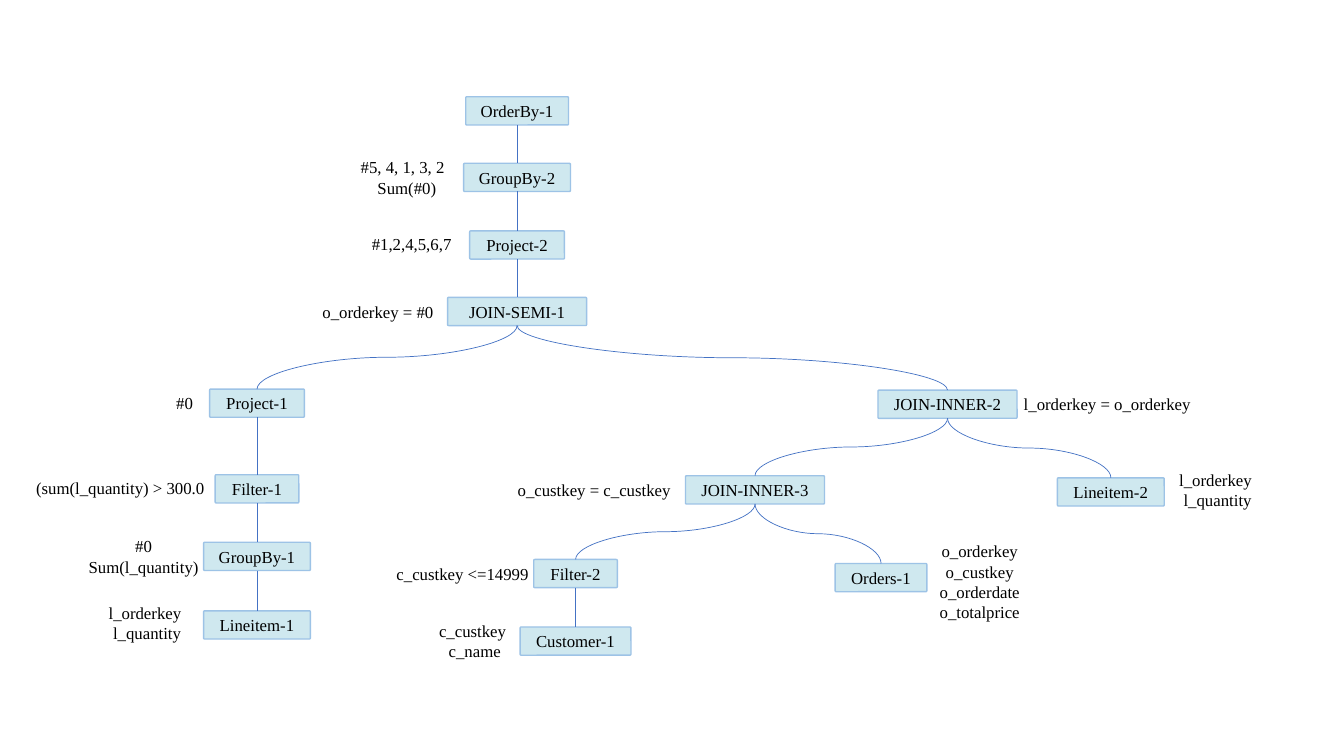
from dataclasses import dataclass
from pptx import Presentation
from pptx.dml.color import RGBColor
from pptx.enum.shapes import MSO_CONNECTOR, MSO_SHAPE
from pptx.enum.text import MSO_ANCHOR, MSO_AUTO_SIZE, PP_ALIGN
from pptx.oxml.ns import qn
from pptx.util import Inches, Pt
from lxml import etree

LEFT, MID = PP_ALIGN.LEFT, PP_ALIGN.CENTER
MIDDLE = MSO_ANCHOR.MIDDLE
GROW = MSO_AUTO_SIZE.SHAPE_TO_FIT_TEXT
ROUND = MSO_SHAPE.ROUNDED_RECTANGLE
LINE, CURVE = MSO_CONNECTOR.STRAIGHT, MSO_CONNECTOR.CURVE
TOP, BOTTOM = 0, 2


@dataclass(frozen=True)
class Theme:
    font: str = "Times New Roman"
    size: int = 12
    ink: str = "000000"
    fill: str = "CFE8EF"
    rim: str = "9DC3E6"
    edge: str = "4472C4"
    rim_size: float = 1
    edge_size: float = 0.5


THEME = Theme()
UNIT = 0.1  # inches per grid column and row
COLS, ROWS = 133.33, 75
NODE_H = 2.8

# name: centre column, top row, width
NODES = {
    "OrderBy-1": (51.3, 9.6, 10.2),
    "GroupBy-2": (51.3, 16.2, 10.6),
    "Project-2": (51.3, 22.9, 9.4),
    "JOIN-SEMI-1": (51.3, 29.5, 13.8),
    "Project-1": (25.5, 38.6, 9.4),
    "Filter-1": (25.5, 47.1, 8.3),
    "GroupBy-1": (25.5, 53.8, 10.6),
    "Lineitem-1": (25.5, 60.6, 10.6),
    "JOIN-INNER-2": (94, 38.7, 13.8),
    "JOIN-INNER-3": (74.9, 47.2, 13.8),
    "Lineitem-2": (110.2, 47.4, 10.6),
    "Filter-2": (57.1, 55.5, 8.3),
    "Orders-1": (87.4, 55.9, 9.1),
    "Customer-1": (57.1, 62.2, 11),
}

CHAINS = [
    ["OrderBy-1", "GroupBy-2", "Project-2", "JOIN-SEMI-1"],
    ["Project-1", "Filter-1", "GroupBy-1", "Lineitem-1"],
    ["Filter-2", "Customer-1"],
]

FORKS = {
    "JOIN-SEMI-1": ["Project-1", "JOIN-INNER-2"],
    "JOIN-INNER-2": ["JOIN-INNER-3", "Lineitem-2"],
    "JOIN-INNER-3": ["Filter-2", "Orders-1"],
}

# left column, top row, width, alignment, lines
NOTES = [
    (35.9, 22.7, 11.3, LEFT, ["#1,2,4,5,6,7"]),
    (30.4, 29.4, 14.2, MID, ["o_orderkey = #0"]),
    (16.5, 38.5, 5.1, LEFT, ["#0"]),
    (2.6, 46.9, 20.4, LEFT, ["(sum(l_quantity) > 300.0"]),
    (7.5, 52.7, 13.5, MID, ["#0", "Sum(l_quantity)"]),
    (9.1, 59.3, 11, MID, ["l_orderkey ", "l_quantity"]),
    (99.8, 38.6, 20.1, MID, ["l_orderkey = o_orderkey"]),
    (48.9, 47.1, 20.1, MID, ["o_custkey = c_custkey"]),
    (115.3, 46.1, 11, MID, ["l_orderkey ", "l_quantity"]),
    (38.1, 55.4, 15.6, MID, ["c_custkey <=14999"]),
    (91.7, 53.2, 11, MID,
     ["o_orderkey", "o_custkey", "o_orderdate", "o_totalprice"]),
    (41.6, 61.1, 11, MID, ["c_custkey ", "c_name"]),
]
SUM_NOTE = (34.3, 15.1, 11.3, MID, ["#5, 4, 1, 3, 2", "Sum(#0)"])
SUM_SHIFT = 0.83


def grid(count):
    return Inches(count * UNIT)


def color(code):
    return RGBColor.from_string(code)


def write(frame, lines, align):
    frame.word_wrap = True
    for i, line in enumerate(lines):
        para = frame.add_paragraph() if i else frame.paragraphs[0]
        para.alignment = align
        run = para.add_run()
        run.text = line
        run.font.name = THEME.font
        run.font.size = Pt(THEME.size)
        run.font.color.rgb = color(THEME.ink)


def add_node(slide, name, mid, top, width):
    node = slide.shapes.add_shape(
        ROUND, grid(mid - width / 2), grid(top), grid(width), grid(NODE_H))
    node.adjustments[0] = 0.04
    node.shadow.inherit = False
    node.fill.solid()
    node.fill.fore_color.rgb = color(THEME.fill)
    node.line.color.rgb = color(THEME.rim)
    node.line.width = Pt(THEME.rim_size)
    node.text_frame.vertical_anchor = MIDDLE
    write(node.text_frame, [name], MID)
    return node


def add_note(slide, left, top, width, align, lines):
    note = slide.shapes.add_textbox(
        grid(left), grid(top), grid(width), grid(1 + 2 * len(lines)))
    write(note.text_frame, lines, align)
    note.text_frame.auto_size = GROW
    return note


def add_edge(slide, kind, upper, lower):
    edge = slide.shapes.add_connector(kind, 0, 0, 0, 0)
    edge.begin_connect(upper, BOTTOM)
    edge.end_connect(lower, TOP)
    edge.line.color.rgb = color(THEME.edge)
    edge.line.width = Pt(THEME.edge_size)
    etree.SubElement(edge.element.spPr, qn("a:effectLst"))
    return edge


def add_branch(slide, upper, lower):
    """Turn a curved edge so that it leaves and arrives vertically."""
    edge = add_edge(slide, CURVE, upper, lower)
    right = edge.end_x > edge.begin_x
    wide, high = edge.width, edge.height
    mid_x, mid_y = edge.left + wide // 2, edge.top + high // 2
    edge.left, edge.top = mid_x - high // 2, mid_y - wide // 2
    edge.width, edge.height = high, wide
    frame = edge.element.spPr.find(qn("a:xfrm"))
    frame.set("rot", str((270 if right else 90) * 60000))
    frame.set("flipH", "1" if right else "0")


def main():
    deck = Presentation()
    deck.slide_width, deck.slide_height = grid(COLS), grid(ROWS)
    slide = deck.slides.add_slide(deck.slide_layouts[6])
    nodes = {name: add_node(slide, name, *place)
             for name, place in NODES.items()}
    for chain in CHAINS:
        for upper, lower in zip(chain, chain[1:]):
            add_edge(slide, LINE, nodes[upper], nodes[lower])
    for upper, leaves in FORKS.items():
        for lower in leaves:
            add_branch(slide, nodes[upper], nodes[lower])
    for note in NOTES:
        add_note(slide, *note)
    total = add_note(slide, *SUM_NOTE).text_frame.paragraphs[1]
    total._p.get_or_add_pPr().set("marL", str(grid(SUM_SHIFT)))
    deck.save("out.pptx")


if __name__ == "__main__":
    main()
